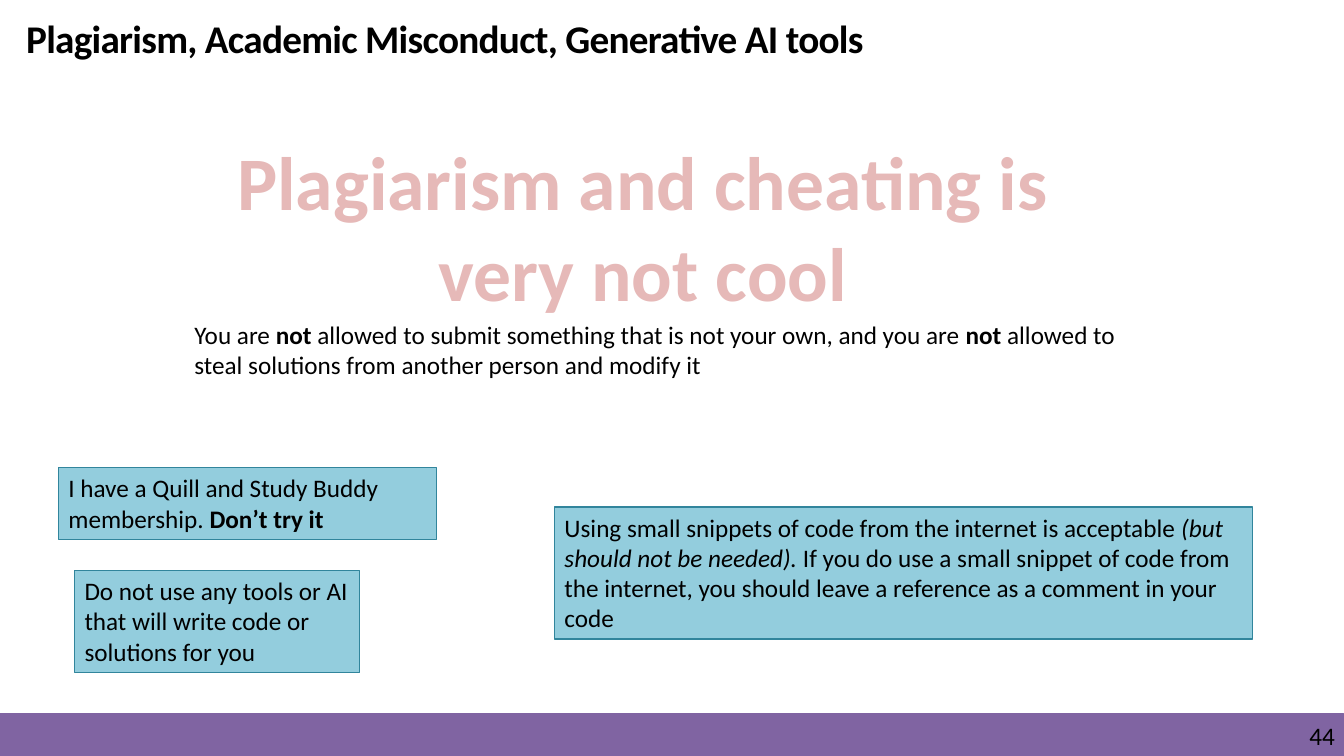
import pptx
import pptx.util
import pptx.dml.color
import pptx.enum.shapes
import pptx.enum.text

Inches = pptx.util.Inches
Align = pptx.enum.text.PP_ALIGN

COLOURS = {
    "ink": "000000",
    "footer": "8064A2",
    "headline": "E6B9B8",
    "note": "93CDDD",
    "note_line": "31859C",
}


class SlideBuilder:
    font_name = "Calibri"
    body_size = 18

    def __init__(self, deck):
        self.page = deck.slides.add_slide(deck.slide_layouts[5])

    def colour(self, name):
        return pptx.dml.color.RGBColor.from_string(COLOURS[name])

    def set_text(self, box, spans, size=body_size, colour="ink", bold=None,
                 align=Align.LEFT, inset=(0.1, 0.05)):
        frame = box.text_frame
        frame.word_wrap = True
        frame.auto_size = pptx.enum.text.MSO_AUTO_SIZE.NONE
        frame.vertical_anchor = pptx.enum.text.MSO_ANCHOR.TOP
        frame.margin_left = frame.margin_right = Inches(inset[0])
        frame.margin_top = frame.margin_bottom = Inches(inset[1])
        para = frame.paragraphs[0]
        para.alignment = align
        para.font.name = self.font_name
        para.font.size = pptx.util.Pt(size)
        para.font.color.rgb = self.colour(colour)
        para.font.bold = bold
        for text, style in spans:
            span = para.add_run()
            span.text = text
            if style == "bold":
                span.font.bold = True
            elif style == "italic":
                span.font.italic = True
        return para

    def title(self, text, left, top, width, height):
        box = self.page.shapes.title
        box.left, box.top = Inches(left), Inches(top)
        box.width, box.height = Inches(width), Inches(height)
        para = self.set_text(box, [(text, None)], size=28, bold=True, inset=(0.01, 0.01))
        para.runs[0].font._rPr.set("spc", "-50")

    def text(self, spans, left, top, width, height, **style):
        box = self.page.shapes.add_textbox(
            Inches(left), Inches(top), Inches(width), Inches(height))
        self.set_text(box, spans, **style)

    def rectangle(self, left, top, width, height, fill, line):
        box = self.page.shapes.add_shape(
            pptx.enum.shapes.MSO_SHAPE.RECTANGLE,
            Inches(left), Inches(top), Inches(width), Inches(height))
        box.shadow.inherit = False
        box.fill.solid()
        box.fill.fore_color.rgb = self.colour(fill)
        box.line.color.rgb = self.colour(line)
        box.line.width = pptx.util.Pt(0.75)
        return box

    def note(self, spans, left, top, width, height):
        box = self.rectangle(left, top, width, height, "note", "note_line")
        self.set_text(box, spans)


def main():
    deck = pptx.Presentation()
    deck.slide_width, deck.slide_height = Inches(13.33), Inches(7.5)
    slide = SlideBuilder(deck)

    slide.rectangle(0, 7.08, 13.33, 0.42, "footer", "footer")
    slide.text([("44", None)], 10.17, 7.15, 3.07, 0.3, align=Align.RIGHT, inset=(0, 0))
    slide.title("Plagiarism, Academic Misconduct, Generative AI tools", 0.25, 0.13, 8.59, 0.49)
    slide.text([("Plagiarism and cheating is very not cool", None)], 2.08, 1.29, 8.59, 1.9,
               size=54, colour="headline", bold=True, align=Align.CENTER)
    slide.text([
        ("You are ", None),
        ("not ", "bold"),
        ("allowed to submit something that is not your own, and you are ", None),
        ("not", "bold"),
        (" allowed to steal solutions from another person and modify it", None),
    ], 1.83, 3.12, 9.67, 0.71)

    slide.note([
        ("I have a Quill and Study Buddy membership. ", None),
        ("Don’t try it", "bold"),
    ], 0.58, 4.64, 3.75, 0.71)
    slide.note([
        ("Do not use any tools or AI that will write code or solutions for you", None),
    ], 0.74, 5.66, 2.83, 1.01)
    slide.note([
        ("Using small snippets of code from the internet is acceptable ", None),
        ("(but should not be needed). ", "italic"),
        ("If you do use a small snippet of code from the internet, you should leave "
         "a reference as a comment in your code", None),
    ], 5.5, 5.03, 6.92, 1.31)

    deck.save("out.pptx")


if __name__ == "__main__":
    main()
